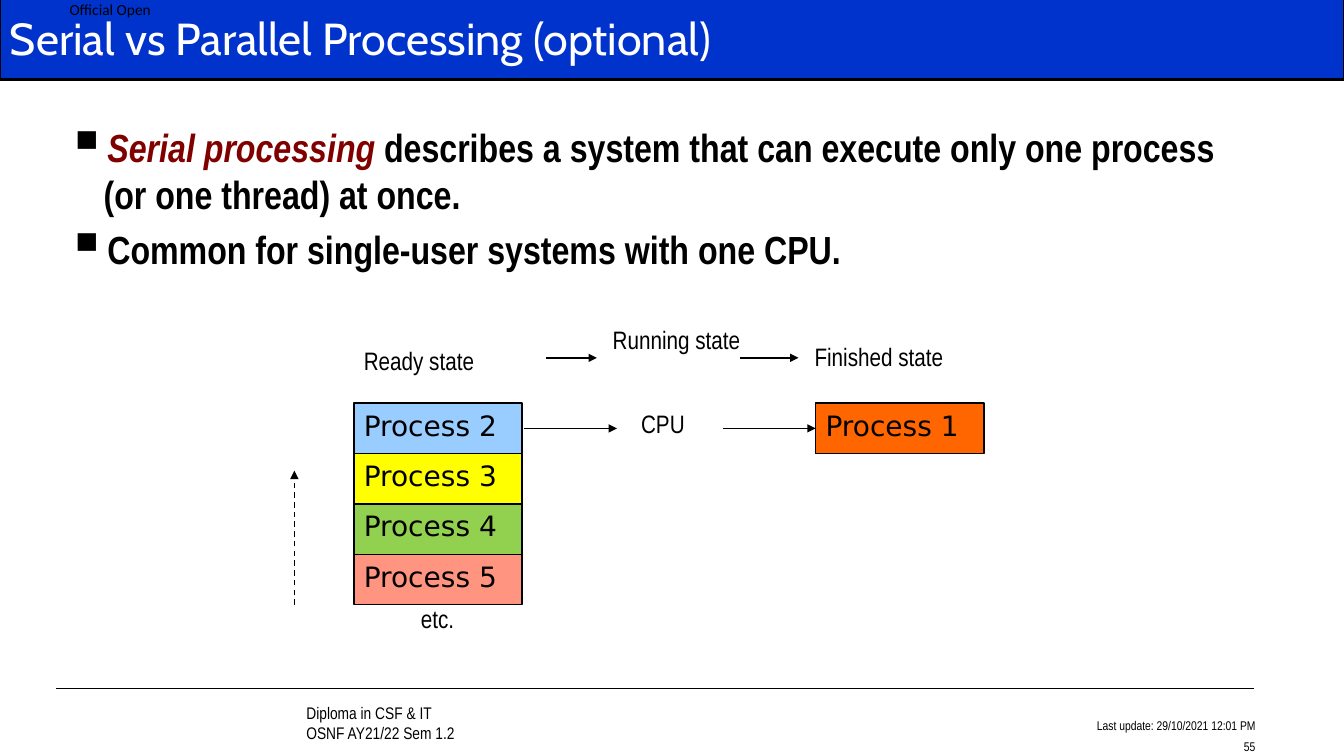
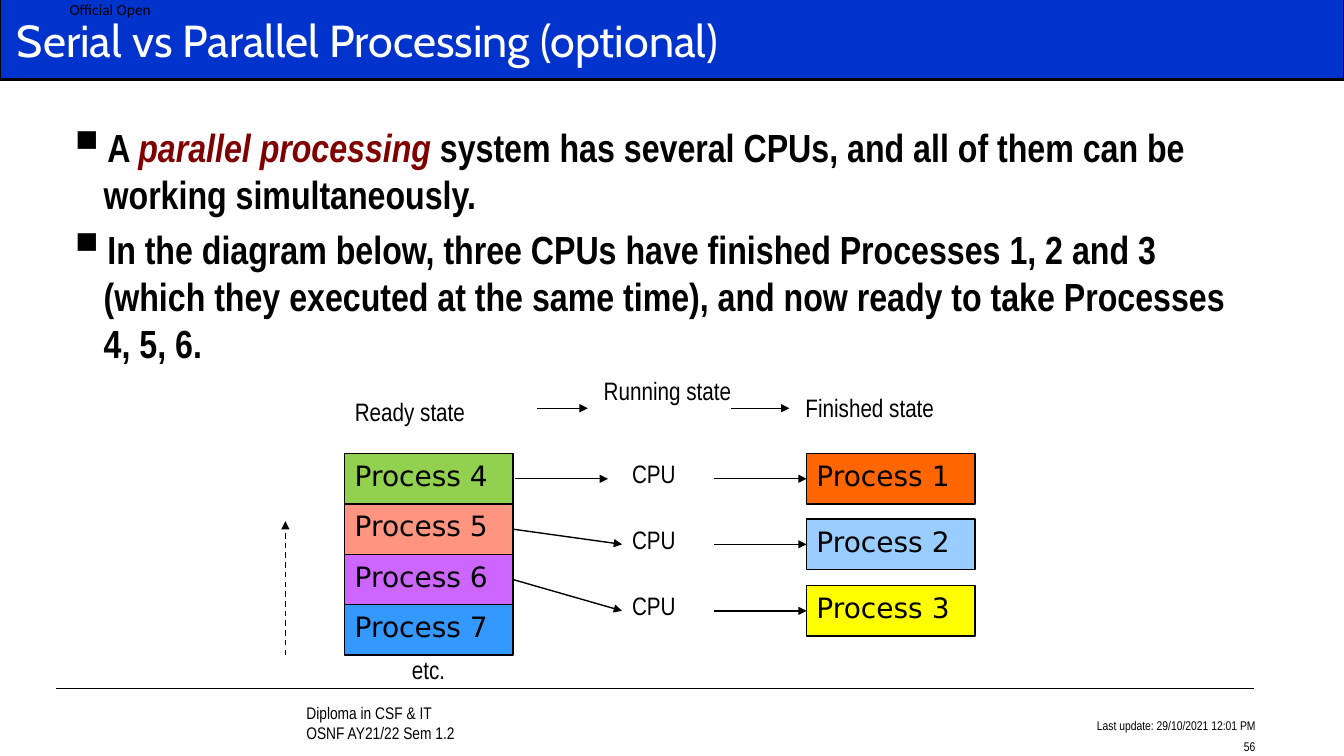
from lxml import etree
from pptx import Presentation
from pptx.dml.color import RGBColor
from pptx.enum.dml import MSO_LINE
from pptx.enum.shapes import MSO_CONNECTOR, MSO_SHAPE
from pptx.enum.text import MSO_ANCHOR, PP_ALIGN
from pptx.oxml.ns import qn
from pptx.util import Pt

PX = 9144
RECT = MSO_SHAPE.RECTANGLE
STRAIGHT = MSO_CONNECTOR.STRAIGHT
DASH = MSO_LINE.DASH
TOP, MIDDLE, BOTTOM = MSO_ANCHOR.TOP, MSO_ANCHOR.MIDDLE, MSO_ANCHOR.BOTTOM
LEFT, CENTER, RIGHT = PP_ALIGN.LEFT, PP_ALIGN.CENTER, PP_ALIGN.RIGHT
LEFT_SIDE, RIGHT_SIDE = 1, 3

COLORS = {
    "black": "000000",
    "white": "FFFFFF",
    "band": "0033CC",
    "term": "800000",
    "Process 1": "FF6600",
    "Process 2": "99CCFF",
    "Process 3": "FFFF00",
    "Process 4": "92D050",
    "Process 5": "FF9480",
    "Process 6": "CC66FF",
    "Process 7": "3399FF",
}
COLORS = {name: RGBColor.from_string(value) for name, value in COLORS.items()}

NARROW = "Arial Narrow"
TITLE = "Serial vs Parallel Processing (optional)"
BOX_WIDTH, BOX_HEIGHT = 167, 50
FINISHED_LEFT, CPU_LEFT = 458, 275

SLIDES = [
    {
        "number": "55",
        "title_at": (0, 0, 1311, 75),
        "bullets": [
            [("Serial processing ", True),
             ("describes a system that can execute only one process (or one thread) at once.", False)],
            [("Common for single-user systems with one CPU.", False)],
        ],
        "origin": (351, 400),
        "ready": ["Process 2", "Process 3", "Process 4", "Process 5"],
        "finished": ["Process 1"],
    },
    {
        "number": "56",
        "title_at": (7, 2, 1008, 75),
        "bullets": [
            [("A ", False), ("parallel processing ", True),
             ("system has several CPUs, and all of them can be working simultaneously.", False)],
            [("In the diagram below, three CPUs have finished Processes 1, 2 and 3 (which they executed "
              "at the same time), and now ready to take Processes 4, 5, 6.", False)],
        ],
        "origin": (342, 450),
        "ready": ["Process 4", "Process 5", "Process 6", "Process 7"],
        "finished": ["Process 1", "Process 2", "Process 3"],
    },
]


def add_box(page, at, lines=(), size=18, font=NARROW, color="black", align=LEFT,
            anchor=TOP, gap=0, fill=None, line_width=1):
    area = [value * PX for value in at]
    if fill:
        box = page.shapes.add_shape(RECT, *area)
        box.shadow.inherit = False
        box.fill.solid()
        box.fill.fore_color.rgb = COLORS[fill]
        box.line.color.rgb = COLORS["black"]
        box.line.width = Pt(line_width)
    else:
        box = page.shapes.add_textbox(*area)
    frame = box.text_frame
    frame.word_wrap = True
    frame.vertical_anchor = anchor
    for index, line in enumerate(lines):
        para = frame.add_paragraph() if index else frame.paragraphs[0]
        para.text = line
        para.alignment = align
        if index:
            para.space_before = Pt(gap)
        para.font.name = font
        para.font.size = Pt(size)
        para.font.color.rgb = COLORS[color]
    return box


def add_line(page, start, end, arrow=True):
    line = page.shapes.add_connector(STRAIGHT, *[value * PX for value in (*start, *end)])
    line.line.color.rgb = COLORS["black"]
    line.line.width = Pt(1)
    if arrow:
        etree.SubElement(line.line._get_or_add_ln(), qn("a:tailEnd"), type="triangle")
    etree.SubElement(line._element.spPr, qn("a:effectLst"))
    return line


deck = Presentation()
deck.slide_width, deck.slide_height = 1333 * PX, 750 * PX

for content in SLIDES:
    page = deck.slides.add_slide(deck.slide_layouts[6])

    add_box(page, (294, 700, 672, 42), ["Diploma in CSF & IT", "OSNF AY21/22 Sem 1.2"],
            size=12, anchor=BOTTOM)
    add_line(page, (56, 683), (1244, 683), arrow=False)
    add_box(page, (0, -4, 1333, 83), fill="band", line_width=1.5)
    add_box(page, (944, 703, 311, 50), ["Last update: 29/10/2021 12:01 PM", content["number"]],
            size=9, align=RIGHT, anchor=BOTTOM, gap=4.5)
    marking = add_box(page, (69, 0, 120, 18), ["Official Open"], size=11, font="Calibri").text_frame
    marking.margin_left = marking.margin_right = marking.margin_top = marking.margin_bottom = 0
    add_box(page, content["title_at"], [TITLE], size=32, font="Cabin", color="white", anchor=MIDDLE)

    body = add_box(page, (56, 117, 1189, 567)).text_frame
    for index, parts in enumerate(content["bullets"]):
        para = body.add_paragraph() if index else body.paragraphs[0]
        properties = para._p.get_or_add_pPr()
        properties.set("marL", str(37 * PX))
        properties.set("indent", str(-37 * PX))
        etree.SubElement(properties, qn("a:buSzPct"), val="140000")
        etree.SubElement(properties, qn("a:buChar"), char="▪")
        if index:
            para.space_before = Pt(5.6)
        para.font.name = NARROW
        para.font.size = Pt(28)
        para.font.bold = True
        for text, is_term in parts:
            span = para.add_run()
            span.text = text
            span.font.italic = is_term
            span.font.color.rgb = COLORS["term" if is_term else "black"]
        etree.SubElement(etree.SubElement(properties, qn("a:buClr")), qn("a:srgbClr"), val="000000")
        properties.find(qn("a:buSzPct")).addprevious(properties.find(qn("a:buClr")))

    left, top = content["origin"]
    ready_boxes = [
        add_box(page, (left, top + row * BOX_HEIGHT, BOX_WIDTH, BOX_HEIGHT), [name],
                size=20, font="DejaVu Sans", fill=name)
        for row, name in enumerate(content["ready"])
    ]

    for row, name in enumerate(content["finished"]):
        row_top = top + row * 131 // 2
        middle = row_top + BOX_HEIGHT // 2
        finished = add_box(page, (left + FINISHED_LEFT, row_top, BOX_WIDTH, BOX_HEIGHT), [name],
                           size=20, font="DejaVu Sans", fill=name)
        cpu = add_box(page, (left + CPU_LEFT, row_top, 92, BOX_HEIGHT), ["CPU"])
        to_cpu = add_line(page, (left + 169, middle), (left + 261, middle))
        if row:
            to_cpu.begin_connect(ready_boxes[row], RIGHT_SIDE)
            to_cpu.end_connect(cpu, LEFT_SIDE)
        to_finished = add_line(page, (left + 366, middle), (left + FINISHED_LEFT, middle))
        to_finished.end_connect(finished, LEFT_SIDE)

    for start, end in [(191, 241), (383, 441)]:
        add_line(page, (left + start, top - 45), (left + end, top - 45))
    for label, x, y, width, align in [
        ("Ready state", 0, -62, 175, LEFT),
        ("Running state", 237, -83, 166, CENTER),
        ("Finished state", 447, -66, 202, LEFT),
        ("etc.", 10, 194, 146, CENTER),
    ]:
        add_box(page, (left + x, top + y, width, 40), [label], align=align)
    queue = add_line(page, (left - 59, top + 200), (left - 59, top + 67))
    queue.line.dash_style = DASH

deck.save("out.pptx")
